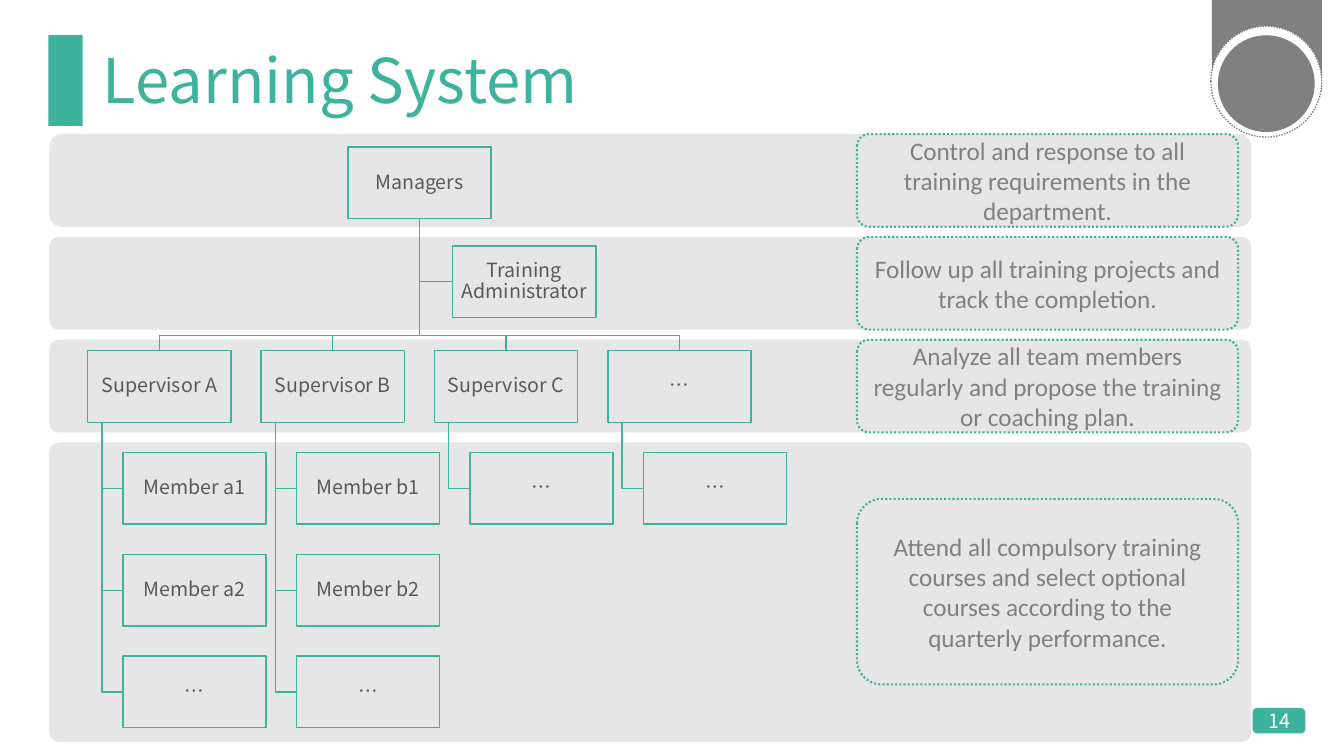
from dataclasses import dataclass

from pptx import Presentation
from pptx import util as u
from pptx.dml.color import RGBColor
from pptx.enum import dml, shapes, text
from pptx.oxml import ns
from pptx.oxml.xmlchemy import OxmlElement
from pptx.shapes.autoshape import Shape
from pptx.shapes.shapetree import SlideShapes

GREEN, GRAY, DARK, PALE, WHITE = "3DB39E", "808080", "595959", "E7E6E6", "FFFFFF"
SANS, BODY = "Noto Sans CJK SC", "Calibri"
RECT = shapes.MSO_SHAPE.RECTANGLE
ROUND = shapes.MSO_SHAPE.ROUNDED_RECTANGLE
OVAL = shapes.MSO_SHAPE.OVAL
MID = text.PP_ALIGN.CENTER

BOX_W, BOX_H = 1.42, 0.71
BOSS_X, BOSS_Y = 3.45, 1.46
AIDE_X, AIDE_Y = 4.49, 2.44
TEAM_X, TEAM_Y, TEAM_STEP = 0.87, 3.48, 1.72
CREW_IN, CREW_Y, CREW_STEP = 0.35, 4.49, 1.01
TRUNK_X = BOSS_X + BOX_W / 2
RAIL_Y = 3.33
STEM_IN = 0.14


@dataclass
class Font:
    name: str
    size: float
    hue: str
    pitch: float = 1.0


@dataclass
class Level:
    """One band of the chart with its note on the right."""
    top: float
    height: float
    curve: float
    note_top: float
    note_height: float
    note: str


@dataclass
class Team:
    lead: str
    crew: list[str]


LEVELS = [
    Level(1.33, 0.92, 0.132, 1.33, 0.92,
          "Control and response to all training requirements in the department."),
    Level(2.35, 0.92, 0.098, 2.35, 0.92,
          "Follow up all training projects and track the completion."),
    Level(3.37, 0.92, 0.098, 3.37, 0.92,
          "Analyze all team members regularly and propose the training or coaching plan."),
    Level(4.39, 2.97, 0.033, 4.95, 1.84,
          "Attend all compulsory training courses and select optional courses "
          "according to the quarterly performance."),
]
TEAMS = [
    Team("Supervisor A", ["Member a1", "Member a2", "…"]),
    Team("Supervisor B", ["Member b1", "Member b2", "…"]),
    Team("Supervisor C", ["…"]),
    Team("…", ["…"]),
]


def color(code: str) -> RGBColor:
    return RGBColor.from_string(code)


def style(shape: Shape, fill: str = "", line: str = "", weight: float = 1,
          dots: bool = False) -> None:
    shape.shadow.inherit = False
    for part, code in ((shape.fill, fill), (shape.line.fill, line)):
        if code:
            part.solid()
            part.fore_color.rgb = color(code)
        else:
            part.background()
    if line:
        shape.line.width = u.Pt(weight)
    if dots:
        shape.line.dash_style = dml.MSO_LINE.ROUND_DOT


def write(shape: Shape, words: str, font: Font, align: text.PP_ALIGN = MID,
          inset: float | None = None) -> None:
    frame = shape.text_frame
    look = {"word_wrap": True, "vertical_anchor": text.MSO_ANCHOR.MIDDLE}
    if inset is not None:
        for side in ("left", "right", "top", "bottom"):
            look[f"margin_{side}"] = u.Inches(inset)
    para = frame.paragraphs[0]
    run = para.add_run()
    run.text = words
    run.font.color.rgb = color(font.hue)
    formats = (
        (frame, look),
        (para, {"alignment": align, "line_spacing": font.pitch}),
        (run.font, {"name": font.name, "size": u.Pt(font.size)}),
    )
    for item, values in formats:
        for key, value in values.items():
            setattr(item, key, value)
    # The ellipsis follows the East Asian font
    east = OxmlElement("a:ea")
    east.set("typeface", font.name)
    run.font._element.find(ns.qn("a:latin")).addnext(east)


def draw(tree: SlideShapes, kind: shapes.MSO_SHAPE, left: float, top: float,
         width: float, height: float, curve: float | None = None, **look) -> Shape:
    shape = tree.add_shape(kind, *map(u.Inches, (left, top, width, height)))
    if curve is not None:
        shape.adjustments[0] = curve
    style(shape, **look)
    return shape


def label(tree: SlideShapes, left: float, top: float, width: float, height: float,
          words: str, font: Font, align: text.PP_ALIGN) -> None:
    box = tree.add_textbox(*map(u.Inches, (left, top, width, height)))
    write(box, words, font, align)


def link(tree: SlideShapes, *points: tuple[float, float]) -> None:
    """Draw an elbow line through the points."""
    start, *rest = [(u.Inches(x), u.Inches(y)) for x, y in points]
    pen = tree.build_freeform(*start)
    pen.add_line_segments(rest, close=False)
    style(pen.convert_to_shape(), line=GREEN)


def post(tree: SlideShapes, left: float, top: float, words: str) -> None:
    """Draw one box of the chart."""
    box = draw(tree, RECT, left, top, BOX_W, BOX_H, line=GREEN)
    write(box, words, Font(SANS, 14, DARK, 0.9), inset=0.01)


def frame(tree: SlideShapes) -> None:
    """Draw the title, the corner badge and the page number."""
    draw(tree, ROUND, 12.43, 7.03, 0.51, 0.24, fill=GREEN, line=GREEN)
    draw(tree, RECT, 0.48, 0.35, 0.34, 0.9, fill=GREEN)
    draw(tree, RECT, 12.02, 0, 1.09, 0.9, fill=GRAY)
    draw(tree, OVAL, 12.01, 0.26, 1.1, 1.1, fill=WHITE, line=GRAY, dots=True)
    draw(tree, OVAL, 12.08, 0.35, 0.96, 0.96, fill=GRAY)
    label(tree, 0.92, 0.4, 11.5, 0.85, "Learning System",
          Font(SANS, 44, GREEN, 0.9), text.PP_ALIGN.LEFT)
    label(tree, 11.19, 6.95, 3, 0.4, "14", Font(SANS, 14, WHITE), MID)


def chart(tree: SlideShapes) -> None:
    base = (TRUNK_X, BOSS_Y + BOX_H)
    mid = AIDE_Y + BOX_H / 2
    link(tree, base, (TRUNK_X, mid), (AIDE_X, mid))
    post(tree, BOSS_X, BOSS_Y, "Managers")
    post(tree, AIDE_X, AIDE_Y, "Training Administrator")
    for col, team in enumerate(TEAMS):
        left = TEAM_X + col * TEAM_STEP
        head = left + BOX_W / 2
        link(tree, base, (TRUNK_X, RAIL_Y), (head, RAIL_Y), (head, TEAM_Y))
        post(tree, left, TEAM_Y, team.lead)
        stem = left + STEM_IN
        for row, name in enumerate(team.crew):
            top = CREW_Y + row * CREW_STEP
            mid = top + BOX_H / 2
            link(tree, (stem, TEAM_Y + BOX_H), (stem, mid), (left + CREW_IN, mid))
            post(tree, left + CREW_IN, top, name)


def main() -> None:
    deck = Presentation()
    deck.slide_width, deck.slide_height = u.Inches(13.33), u.Inches(7.5)
    tree = deck.slides.add_slide(deck.slide_layouts[6]).shapes
    for level in LEVELS:
        draw(tree, ROUND, 0.49, level.top, 11.92, level.height, level.curve, fill=PALE)
    frame(tree)
    chart(tree)
    for level in LEVELS:
        note = draw(tree, ROUND, 8.5, level.note_top, 3.78, level.note_height, 0.132,
                    line=GREEN, weight=1.5, dots=True)
        write(note, level.note, Font(BODY, 18, GRAY))
    deck.save("out.pptx")


if __name__ == "__main__":
    main()
